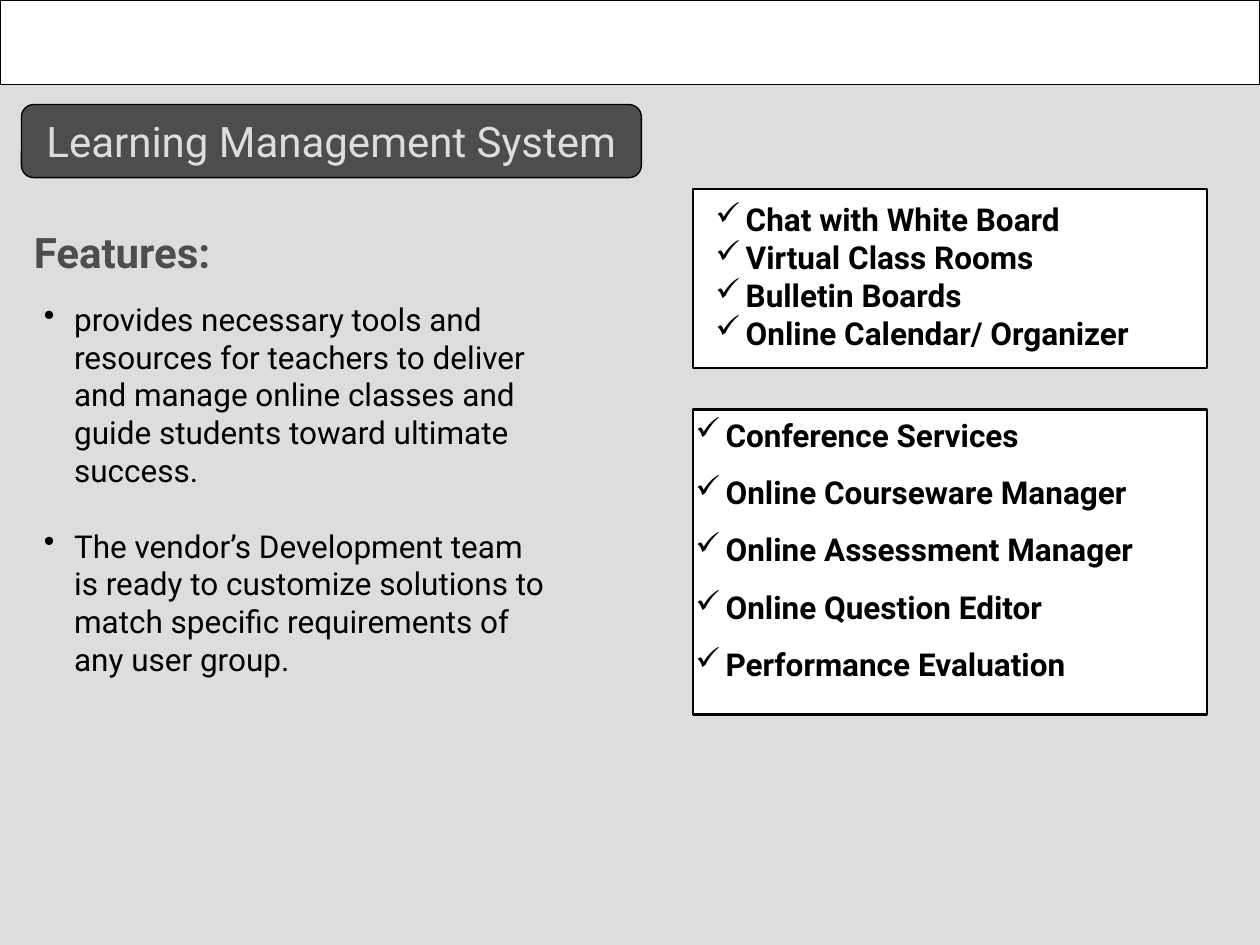
import pptx
import pptx.util
import pptx.dml.color
import pptx.enum.shapes
import pptx.enum.text
import pptx.oxml
import pptx.oxml.ns

Inches = pptx.util.Inches
Pt = pptx.util.Pt
RGBColor = pptx.dml.color.RGBColor
Shape = pptx.enum.shapes.MSO_SHAPE
Align = pptx.enum.text.PP_ALIGN
Anchor = pptx.enum.text.MSO_ANCHOR

BLACK = RGBColor(0x00, 0x00, 0x00)
WHITE = RGBColor(0xFF, 0xFF, 0xFF)
GRAY = RGBColor(0xDD, 0xDD, 0xDD)
DARK = RGBColor(0x4D, 0x4D, 0x4D)
FONT = "Roboto"

TOOLS = ["Chat with White Board", "Virtual Class Rooms", "Bulletin Boards",
         "Online Calendar/ Organizer"]
PARTS = ["Conference Services", "Online Courseware Manager",
         "Online Assessment Manager", "Online Question Editor",
         "Performance Evaluation"]
POINTS = [
    "provides necessary tools and resources for teachers to deliver and "
    "manage online classes and guide students toward ultimate success.",
    "The vendor’s Development team is ready to customize solutions to match "
    "specific requirements of any user group.",
]


def add_panel(slide, kind, area, fill, width):
    panel = slide.shapes.add_shape(kind, *map(Inches, area))
    panel.shadow.inherit = False
    panel.fill.solid()
    panel.fill.fore_color.rgb = fill
    panel.line.color.rgb = BLACK
    panel.line.width = Pt(width)
    return panel


def add_run(para, text, size, color, bold=False):
    run = para.add_run()
    run.text = text
    run.font.name = FONT
    run.font.size = Pt(size)
    run.font.bold = bold
    run.font.color.rgb = color


def add_box(slide, area):
    box = slide.shapes.add_textbox(*map(Inches, area))
    box.text_frame.word_wrap = True
    return box.text_frame


def set_mark(para, mark):
    props = para._p.get_or_add_pPr()
    props.set("marL", str(Inches(0.24)))
    props.set("indent", str(-Inches(0.24)))
    space = pptx.oxml.ns.nsdecls("a")
    props.append(pptx.oxml.parse_xml(
        f'<a:buClr {space}><a:srgbClr val="{BLACK}"/></a:buClr>'))
    props.append(pptx.oxml.parse_xml(f'<a:buChar {space} char="{mark}"/>'))


def add_list(slide, area, items, mark, gap=0, bold=False):
    frame = add_box(slide, area)
    for num, item in enumerate(items):
        para = frame.add_paragraph() if num else frame.paragraphs[0]
        set_mark(para, mark)
        if num and gap:
            para.space_before = Pt(gap)
        add_run(para, item, 18, BLACK, bold)


def add_title(slide, text):
    panel = add_panel(slide, Shape.ROUNDED_RECTANGLE,
                      (0.17, 0.83, 4.92, 0.58), DARK, 0.75)
    frame = panel.text_frame
    frame.word_wrap = False
    frame.vertical_anchor = Anchor.MIDDLE
    para = frame.paragraphs[0]
    para.alignment = Align.CENTER
    add_run(para, text, 24, GRAY)


def main():
    deck = pptx.Presentation()
    deck.slide_width = Inches(10)
    deck.slide_height = Inches(7.5)
    slide = deck.slides.add_slide(deck.slide_layouts[6])
    slide.background.fill.solid()
    slide.background.fill.fore_color.rgb = GRAY

    add_panel(slide, Shape.RECTANGLE, (0, 0, 10, 0.67), WHITE, 0.75)
    add_title(slide, "Learning Management System")
    head = add_box(slide, (0.17, 1.75, 3.5, 0.5))
    add_run(head.paragraphs[0], "Features:", 24, DARK, True)
    add_list(slide, (0.25, 2.33, 4.17, 3.14), POINTS, "•", gap=21.6)

    add_panel(slide, Shape.RECTANGLE, (5.5, 1.5, 4.08, 1.42), WHITE, 1.5)
    add_list(slide, (5.58, 1.54, 4, 1.3), TOOLS, "✓", bold=True)
    add_panel(slide, Shape.RECTANGLE, (5.5, 3.25, 4.08, 2.42), WHITE, 1.5)
    add_list(slide, (5.42, 3.25, 4, 2.23), PARTS, "✓", gap=11.2, bold=True)
    deck.save("out.pptx")


if __name__ == "__main__":
    main()
